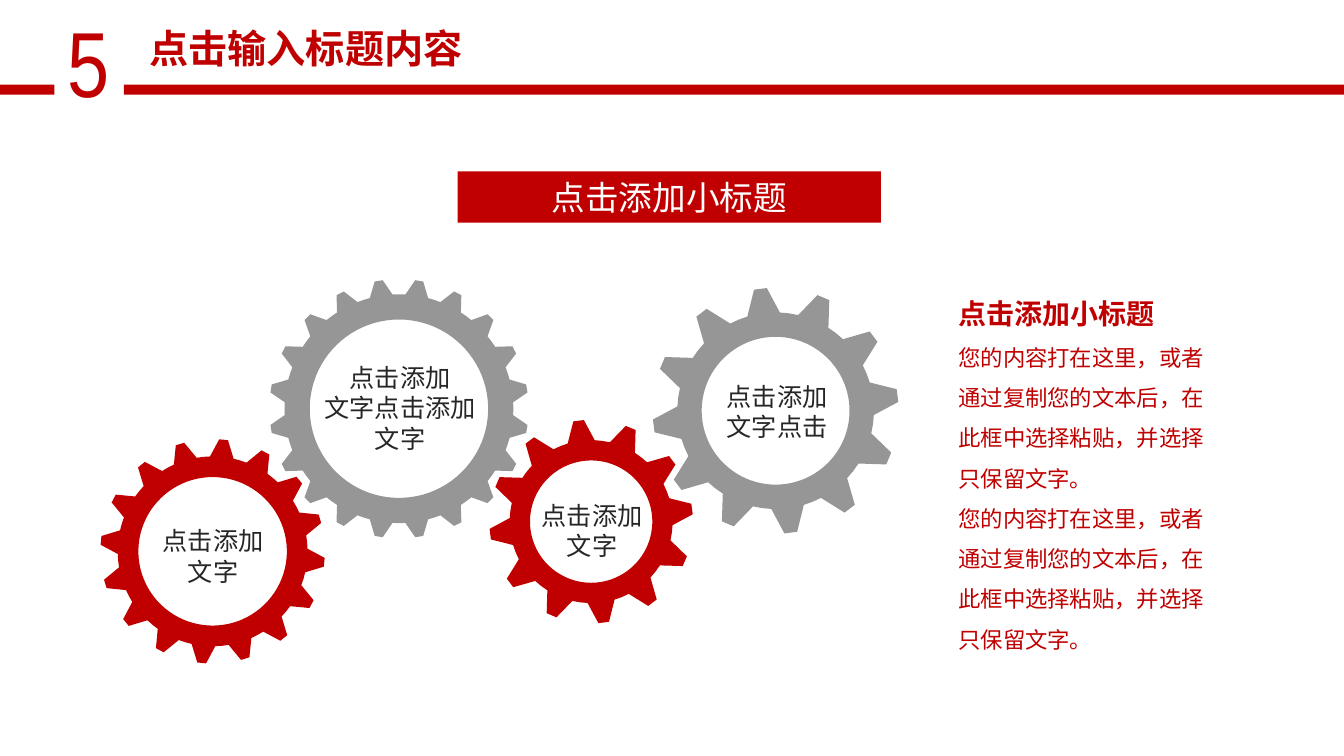
from math import cos, radians, sin

from lxml import etree
from pptx import Presentation
from pptx.dml.color import RGBColor
from pptx.enum.shapes import MSO_SHAPE
from pptx.enum.text import MSO_ANCHOR, MSO_AUTO_SIZE, PP_ALIGN
from pptx.oxml.ns import qn
from pptx.util import Inches, Pt

RECTANGLE = MSO_SHAPE.RECTANGLE
TOP, MIDDLE = MSO_ANCHOR.TOP, MSO_ANCHOR.MIDDLE
LEFT, CENTER = PP_ALIGN.LEFT, PP_ALIGN.CENTER
GROW = MSO_AUTO_SIZE.SHAPE_TO_FIT_TEXT

RED = RGBColor(0xC0, 0x00, 0x00)
GRAY = RGBColor(0x96, 0x96, 0x96)
INK = RGBColor(0x26, 0x26, 0x26)
WHITE = RGBColor(0xFF, 0xFF, 0xFF)

COLUMNS, ROWS = 160, 90
TIP_SHARE, ROOT_SHARE = 0.1, 0.32
HOLE_SIDES = 90


class GearSlide:
    font = "Noto Sans CJK SC"

    def __init__(self, deck):
        self.slide = deck.slides.add_slide(deck.slide_layouts[6])
        self.column = deck.slide_width / COLUMNS
        self.row = deck.slide_height / ROWS

    def place(self, column, row):
        return round(column * self.column), round(row * self.row)

    def paint(self, shape, color):
        shape.shadow.inherit = False
        shape.fill.solid()
        shape.fill.fore_color.rgb = color
        shape.line.fill.background()

    def fill_text(self, frame, lines, size, color, align=LEFT, anchor=TOP,
                  bold=False, font=None):
        frame.word_wrap = True
        frame.vertical_anchor = anchor
        frame.text = "\n".join(lines)
        for paragraph in frame.paragraphs:
            paragraph.alignment = align
            for run in paragraph.runs:
                self.style(run, size, color, bold, font or self.font)

    def style(self, run, size, color, bold, font):
        run.font.size = Pt(size)
        run.font.bold = bold
        run.font.color.rgb = color
        run.font.name = font
        east_asian = etree.SubElement(run.font._element, qn("a:ea"))
        east_asian.set("typeface", font)

    def bar(self, column, row, width, height):
        bar = self.slide.shapes.add_shape(
            RECTANGLE, *self.place(column, row), *self.place(width, height))
        self.paint(bar, RED)
        return bar

    def text(self, column, row, width, height, lines, size, color, **style):
        box = self.slide.shapes.add_textbox(
            *self.place(column, row), *self.place(width, height))
        self.fill_text(box.text_frame, lines, size, color, **style)
        box.text_frame.auto_size = GROW
        return box.text_frame

    def gear(self, column, row, tip, root, hole, teeth, phase, color):
        def point(radius, angle):
            turn = radians(angle)
            return self.place(column + radius * sin(turn), row - radius * cos(turn))

        pitch = 360 / teeth
        profile = [(root, -ROOT_SHARE), (tip, -TIP_SHARE), (tip, TIP_SHARE),
                   (root, ROOT_SHARE), (root, 0.5)]
        rim = [point(radius, phase + pitch * (tooth + share))
               for tooth in range(teeth) for radius, share in profile]
        opening = [point(hole, -360 * side / HOLE_SIDES) for side in range(HOLE_SIDES)]

        outline = self.slide.shapes.build_freeform(*rim[0])
        outline.add_line_segments(rim[1:])
        outline.move_to(*opening[0])
        outline.add_line_segments(opening[1:])
        self.paint(outline.convert_to_shape(), color)

    def gear_label(self, column, row, width, lines):
        height = 1.32 + 3.6 * len(lines)
        self.text(column - width / 2, row - height / 2, width, height, lines,
                  18, INK, align=CENTER, anchor=MIDDLE)


def main():
    deck = Presentation()
    deck.slide_width, deck.slide_height = Inches(13.333), Inches(7.5)
    page = GearSlide(deck)

    page.text(6.84, 0, 4.08, 14.52, ["5"], 66, RED, font="Arial Narrow")
    page.bar(14.76, 10.08, 145.24, 1.2)
    page.bar(-0.36, 10.08, 6.84, 1.2)
    page.text(14.88, 2.28, 43.08, 6.84, ["点击输入标题内容"], 28, RED,
              align=CENTER, bold=True)

    banner = page.bar(54.48, 20.4, 50.4, 6.12)
    page.fill_text(banner.text_frame, ["点击添加小标题"], 24, WHITE,
                   align=CENTER, anchor=MIDDLE)

    gears = [
        ((47.5, 48.66, 15.42, 13.62, 10.62, 20, 9, GRAY),
         (47.64, 48.54, 20.88, ["点击添加", "文字点击添加", "文字"])),
        ((70.38, 62.1, 12.12, 9.7, 7.28, 12, -7.1, RED),
         (70.5, 63.18, 14.76, ["点击添加", "文字"])),
        ((25.32, 65.64, 13.36, 11.3, 8.84, 16, 5.6, RED),
         (25.38, 66.18, 14.76, ["点击添加", "文字"])),
        ((92.34, 48.9, 14.64, 11.7, 8.8, 12, -7.1, GRAY),
         (92.52, 49.02, 20.88, ["点击添加", "文字点击"])),
    ]
    for wheel, label in gears:
        page.gear(*wheel)
        page.gear_label(*label)

    body = "您的内容打在这里，或者通过复制您的文本后，在此框中选择粘贴，并选择只保留文字。"
    details = page.text(112.92, 32.76, 33.96, 46.08,
                        ["点击添加小标题", body, body], 16, RED)
    for paragraph in details.paragraphs:
        paragraph.line_spacing = 1.5
    heading = details.paragraphs[0].runs[0].font
    heading.size = Pt(20)
    heading.bold = True

    deck.save("out.pptx")


if __name__ == "__main__":
    main()
